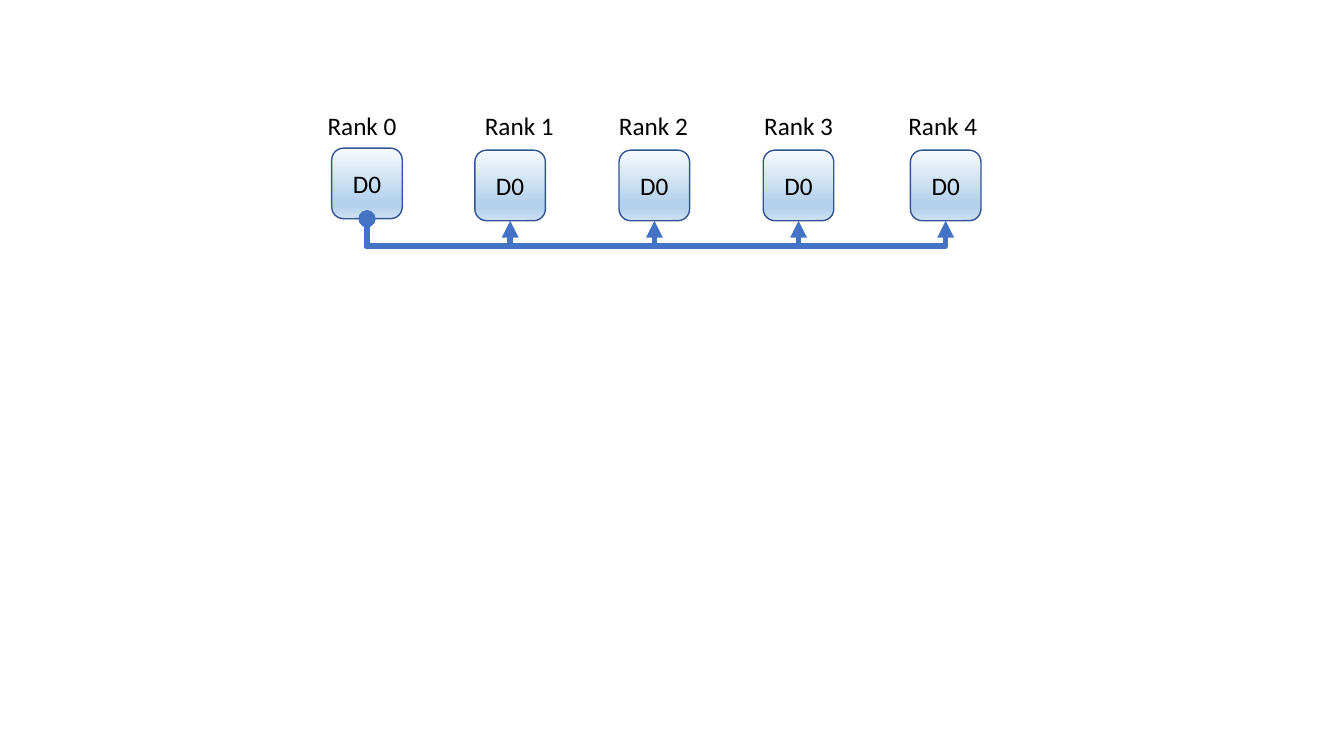
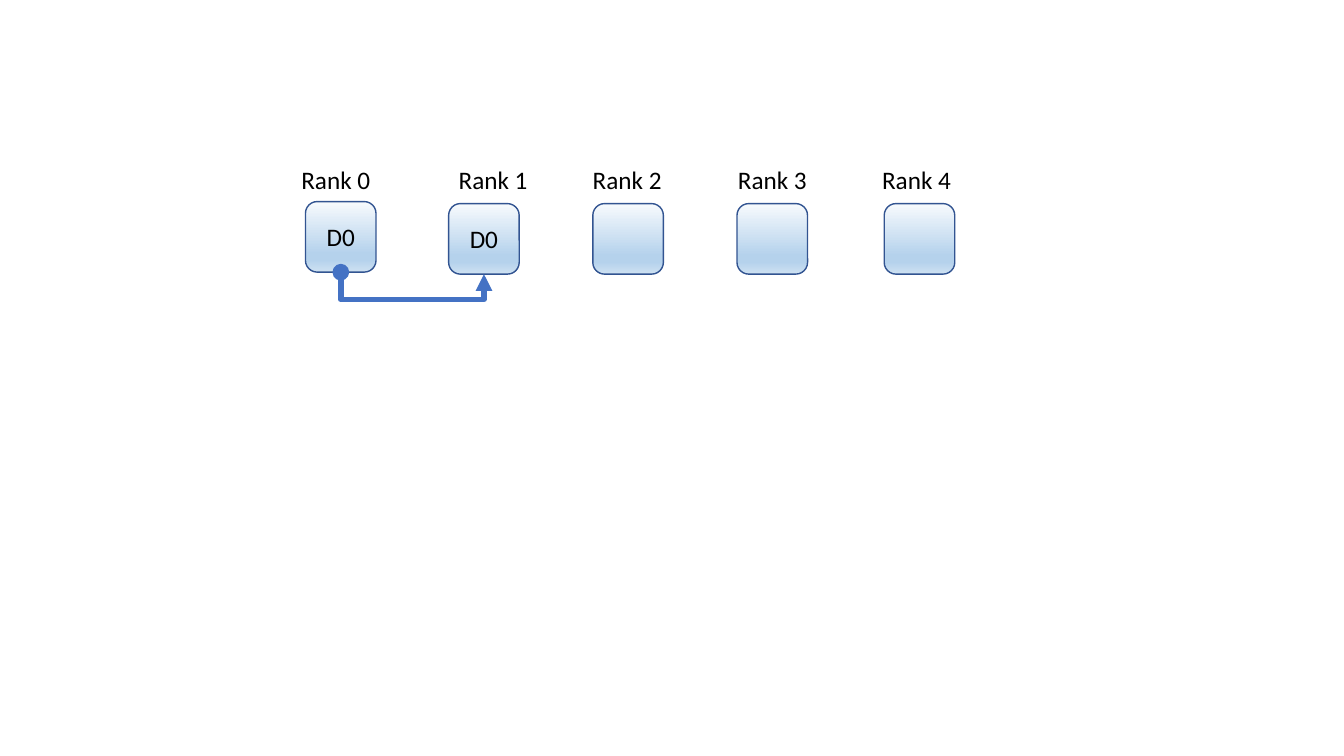
from lxml import etree
from pptx import Presentation
from pptx.dml.color import RGBColor
from pptx.enum import shapes, text
from pptx.oxml.ns import qn
from pptx.util import Inches, Pt

COLORS = {"text": "000000", "outline": "325491", "arrow": "4472C4"}
BOX_GRADIENT = [(0, "F7FAFD"), (74, "B5D2EC"), (83, "B5D2EC"), (100, "CEE1F2")]
BOX_SIZE = 0.7
BOTTOM_SITE = 2

# Offsets from the left and top of the root box
BOX_X = [0, 1.42, 2.85, 4.28, 5.74]
LABEL_X = [-0.14, 1.42, 2.75, 4.19, 5.62]
LABEL_Y = -0.42
RECEIVER_Y = 0.02
BUS_DROP = 0.27


class Deck:
    def __init__(self):
        self.prs = Presentation()
        self.prs.slide_width = Inches(13.33)
        self.prs.slide_height = Inches(7.5)
        self.s = None

    def add_slide(self):
        self.s = self.prs.slides.add_slide(self.prs.slide_layouts[6])

    def set_text(self, tf, words, align):
        p = tf.paragraphs[0]
        p.text = words
        p.alignment = align
        p.font.name = "Calibri"
        p.font.size = Pt(18)
        p.font.color.rgb = RGBColor.from_string(COLORS["text"])

    def box(self, x, y, words):
        sp = self.s.shapes.add_shape(
            shapes.MSO_SHAPE.ROUNDED_RECTANGLE,
            Inches(x), Inches(y), Inches(BOX_SIZE), Inches(BOX_SIZE))
        sp.shadow.inherit = False
        sp.fill.gradient()
        sp.fill.gradient_angle = 270
        stops = sp._element.spPr.find(".//" + qn("a:gsLst"))
        stops.clear()
        for pos, color in BOX_GRADIENT:
            stop = etree.SubElement(stops, qn("a:gs"), pos=str(pos * 1000))
            etree.SubElement(stop, qn("a:srgbClr"), val=color)
        sp.line.color.rgb = RGBColor.from_string(COLORS["outline"])
        sp.line.width = Pt(1)
        if words:
            sp.text_frame.vertical_anchor = text.MSO_ANCHOR.MIDDLE
            self.set_text(sp.text_frame, words, text.PP_ALIGN.CENTER)
        return sp

    def label(self, x, y, words):
        sp = self.s.shapes.add_textbox(
            Inches(x), Inches(y), Inches(0.89), Inches(0.4))
        tf = sp.text_frame
        tf.word_wrap = False
        tf.auto_size = text.MSO_AUTO_SIZE.SHAPE_TO_FIT_TEXT
        self.set_text(tf, words, text.PP_ALIGN.LEFT)

    def send(self, source, target):
        """Join two box bottoms with an elbow arrow that runs below them."""
        cxn = self.s.shapes.add_connector(
            shapes.MSO_CONNECTOR.ELBOW, 0, 0, 0, 0)
        cxn.begin_connect(source, BOTTOM_SITE)
        cxn.end_connect(target, BOTTOM_SITE)
        span = target.left - source.left
        rise = target.top - source.top
        mid_x = source.left + (source.width + span) // 2
        mid_y = source.top + source.height + rise // 2

        # A U-shaped elbow is a bentConnector3 on its side, bent past its end
        cxn.left, cxn.top = mid_x - rise // 2, mid_y - span // 2
        cxn.width, cxn.height = rise, span
        spPr = cxn._element.spPr
        xfrm = spPr.find(qn("a:xfrm"))
        xfrm.set("rot", str(270 * 60000))
        xfrm.set("flipH", "1")
        bend = round(Inches(BUS_DROP) / rise * 100000)
        etree.SubElement(spPr.find(".//" + qn("a:avLst")), qn("a:gd"),
                         name="adj1", fmla=f"val {bend}")

        cxn.line.color.rgb = RGBColor.from_string(COLORS["arrow"])
        cxn.line.width = Pt(4)
        ln = spPr.find(qn("a:ln"))
        etree.SubElement(ln, qn("a:headEnd"), type="oval")
        etree.SubElement(ln, qn("a:tailEnd"), type="triangle")
        etree.SubElement(spPr, qn("a:effectLst"))

    def ranks(self, x, y, holders):
        """Draw five ranks, the first of which sends D0 to the other holders."""
        self.add_slide()
        boxes = [self.box(x + dx, y + (RECEIVER_Y if i else 0),
                          "D0" if i < holders else "")
                 for i, dx in enumerate(BOX_X)]
        for i, dx in enumerate(LABEL_X):
            self.label(x + dx, y + LABEL_Y, f"Rank {i}")
        for receiver in boxes[1:holders]:
            self.send(boxes[0], receiver)


def main():
    deck = Deck()
    deck.ranks(3.29, 1.47, holders=5)
    deck.ranks(3.03, 2.0, holders=2)
    deck.prs.save("out.pptx")


if __name__ == "__main__":
    main()
